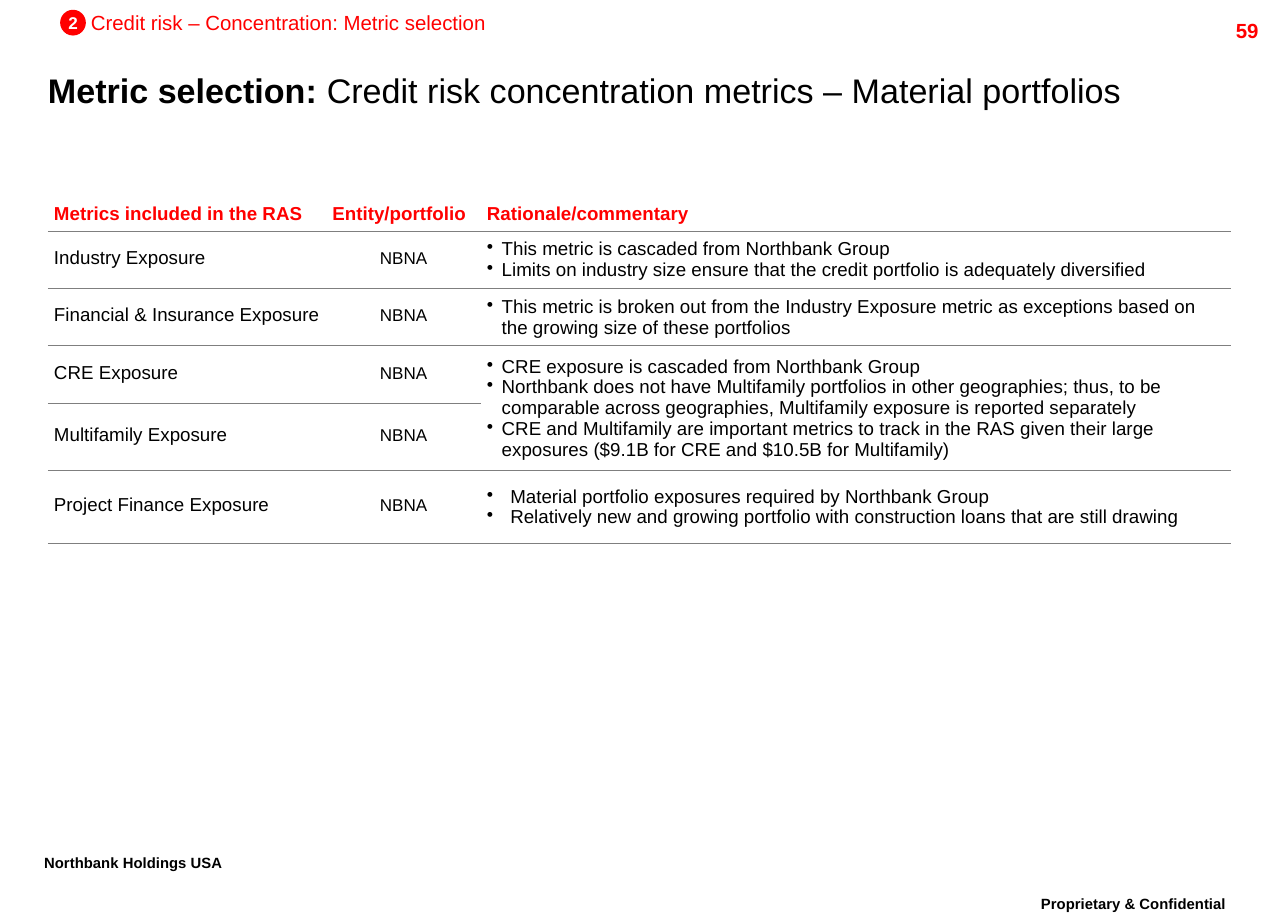
from pptx import Presentation
from pptx import util as u
from pptx.dml.color import RGBColor
from pptx.enum import shapes, text
from pptx.oxml import parse_xml
from pptx.oxml.ns import nsdecls, qn

# Content
SECTION = "Credit risk – Concentration: Metric selection"
TITLE = [("Metric selection: ", True),
         ("Credit risk concentration metrics – Material portfolios", False)]
HEADERS = ["Metrics included in the RAS", "Entity/portfolio", "Rationale/commentary"]
ENTITY = "NBNA"
# Metric, row height, bullet indent, comments (none: shares the cell above)
METRICS = [
    ("Industry Exposure", 0.46, 0.12, [
        "This metric is cascaded from Northbank Group",
        "Limits on industry size ensure that the credit portfolio is adequately diversified"]),
    ("Financial & Insurance Exposure", 0.46, 0.12, [
        "This metric is broken out from the Industry Exposure metric as exceptions "
        "based on the growing size of these portfolios"]),
    ("CRE Exposure", 0.47, 0.12, [
        "CRE exposure is cascaded from Northbank Group",
        "Northbank does not have Multifamily portfolios in other geographies; thus, to be "
        "comparable across geographies, Multifamily exposure is reported separately",
        "CRE and Multifamily are important metrics to track in the RAS given their large "
        "exposures ($9.1B for CRE and $10.5B for Multifamily)"]),
    ("Multifamily Exposure", 0.55, 0.12, []),
    ("Project Finance Exposure", 0.59, 0.19, [
        "Material portfolio exposures required by Northbank Group",
        "Relatively new and growing portfolio with construction loans that are still drawing"]),
]
HEADER_HEIGHT = 0.28
COLUMNS = [2.27, 1.26, 6.12]
RED, BLACK, WHITE, GREY = "FF0000", "000000", "FFFFFF", "7F7F7F"
LEFT, CENTER, RIGHT = (text.PP_ALIGN.LEFT, text.PP_ALIGN.CENTER, text.PP_ALIGN.RIGHT)
NO_GRID = "{2D5ABB26-0587-4C30-8999-92F81FD0307C}"


def rgb(color):
    return RGBColor.from_string(color)


def set_box(box, across=0, down=0):
    """Inner margins and middle anchor of a text frame or a table cell."""
    box.margin_left = box.margin_right = u.Inches(across)
    box.margin_top = box.margin_bottom = u.Inches(down)
    box.vertical_anchor = text.MSO_ANCHOR.MIDDLE


def write(tf, lines, size=11, color=BLACK, bold=False, align=LEFT, spacing=None, bullet=0):
    """Each line is a string, or a list of (text, bold) runs."""
    for i, line in enumerate(lines):
        p = tf.paragraphs[0] if i == 0 else tf.add_paragraph()
        p.alignment = align
        p.line_spacing = spacing
        if bullet:
            pPr = p._p.get_or_add_pPr()
            pPr.set("marL", str(u.Inches(bullet)))
            pPr.set("indent", str(-u.Inches(bullet)))
            pPr.append(parse_xml(f'<a:buChar {nsdecls("a")} char="•"/>'))
        for words, heavy in [(line, bold)] if isinstance(line, str) else line:
            r = p.add_run()
            r.text = words
            r.font.name, r.font.size, r.font.bold = "Arial", u.Pt(size), heavy
            r.font.color.rgb = rgb(color)


def add_label(s, words, left, top, width, height, wrap=True, **fmt):
    sp = s.shapes.add_textbox(*map(u.Inches, (left, top, width, height)))
    sp.text_frame.word_wrap = wrap
    set_box(sp.text_frame)
    write(sp.text_frame, [words], **fmt)


def fill_cell(cell, lines, fill=None, **fmt):
    write(cell.text_frame, lines, **fmt)
    set_box(cell, 0.05, 0.05)
    if fill:
        cell.fill.solid()
        cell.fill.fore_color.rgb = rgb(fill)
    else:
        cell.fill.background()
    cell._tc.get_or_add_tcPr().insert(0, parse_xml(
        f'<a:lnB {nsdecls("a")} w="{u.Pt(0.75)}"><a:solidFill>'
        f'<a:srgbClr val="{GREY}"/></a:solidFill></a:lnB>'))


def add_metrics_table(s):
    heights = [HEADER_HEIGHT] + [m[1] for m in METRICS]
    frame = s.shapes.add_table(len(heights), len(COLUMNS), u.Inches(0.39), u.Inches(1.6),
                               u.Inches(sum(COLUMNS)), u.Inches(sum(heights)))
    tbl = frame.table
    tbl.first_row = tbl.horz_banding = False
    tbl._tbl.tblPr.find(qn("a:tableStyleId")).text = NO_GRID
    for column, width in zip(tbl.columns, COLUMNS):
        column.width = u.Inches(width)
    for row, height in zip(tbl.rows, heights):
        row.height = u.Inches(height)

    for c, header in enumerate(HEADERS):
        fill_cell(tbl.cell(0, c), [header], color=RED, bold=True)
    for r, (metric, _, indent, comments) in enumerate(METRICS, start=1):
        fill_cell(tbl.cell(r, 0), [metric], fill=WHITE, spacing=u.Pt(10))
        fill_cell(tbl.cell(r, 1), [ENTITY], fill=WHITE, size=10, align=CENTER,
                  spacing=u.Pt(10))
        fill_cell(tbl.cell(r, 2), comments, fill=WHITE, bullet=indent)
        if not comments:
            tbl.cell(r - 1, 2).merge(tbl.cell(r, 2))


def main():
    prs = Presentation()
    prs.slide_width, prs.slide_height = u.Inches(10.5), u.Inches(7.5)
    s = prs.slides.add_slide(prs.slide_layouts[5])

    # Footer and page number
    add_label(s, "Proprietary & Confidential", 8.15, 7.27, 2.18, 0.2,
              size=8.7, bold=True, align=CENTER)
    add_label(s, "Northbank Holdings USA", 0.36, 6.93, 1.81, 0.2, size=8.7, bold=True)
    add_label(s, "59", 9.36, 0.13, 0.9, 0.24, size=12, color=RED, bold=True, align=RIGHT)

    # Title
    title = s.shapes.title
    title.left, title.top, title.width, title.height = map(
        u.Inches, (0.29, 0.56, 10.21, 0.39))
    title.text_frame.word_wrap = True
    set_box(title.text_frame, 0.1, 0.05)
    write(title.text_frame, [TITLE], size=20, spacing=0.86)

    add_metrics_table(s)

    # Section marker
    add_label(s, SECTION, 0.74, 0.08, 3.25, 0.2, size=12, color=RED, wrap=False)
    badge = s.shapes.add_shape(shapes.MSO_SHAPE.OVAL,
                               *map(u.Inches, (0.49, 0.08, 0.21, 0.21)))
    badge.shadow.inherit = False
    badge.fill.solid()
    badge.fill.fore_color.rgb = rgb(RED)
    badge.line.fill.background()
    badge.text_frame.word_wrap = False
    set_box(badge.text_frame)
    write(badge.text_frame, ["2"], size=10, color=WHITE, bold=True, align=CENTER)

    prs.save("out.pptx")


if __name__ == "__main__":
    main()
